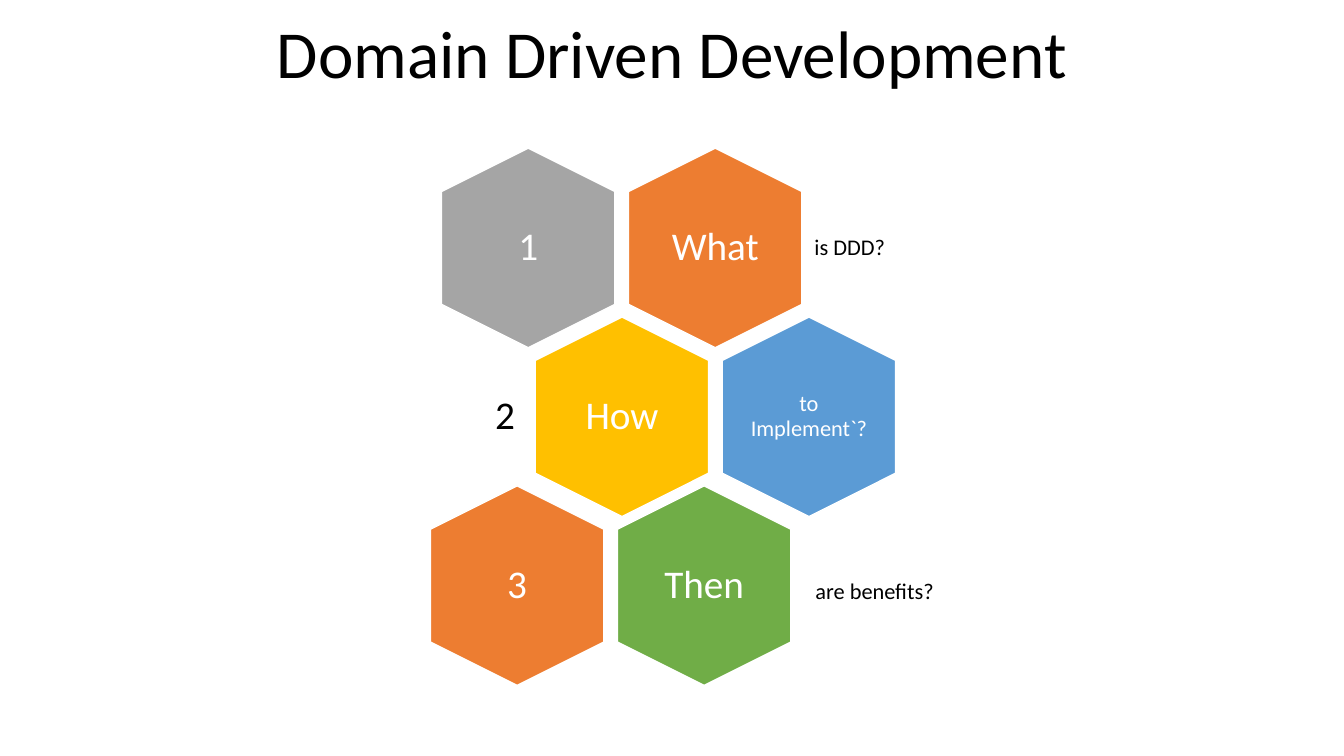
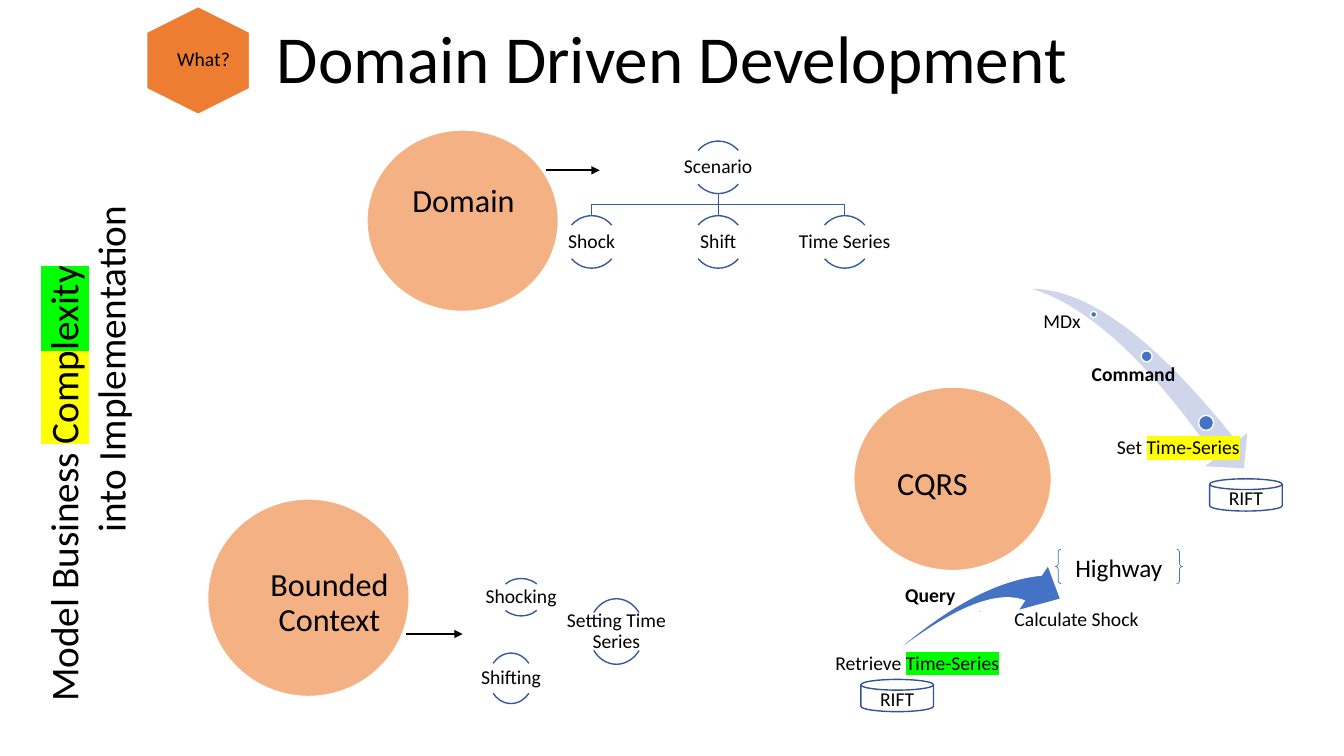
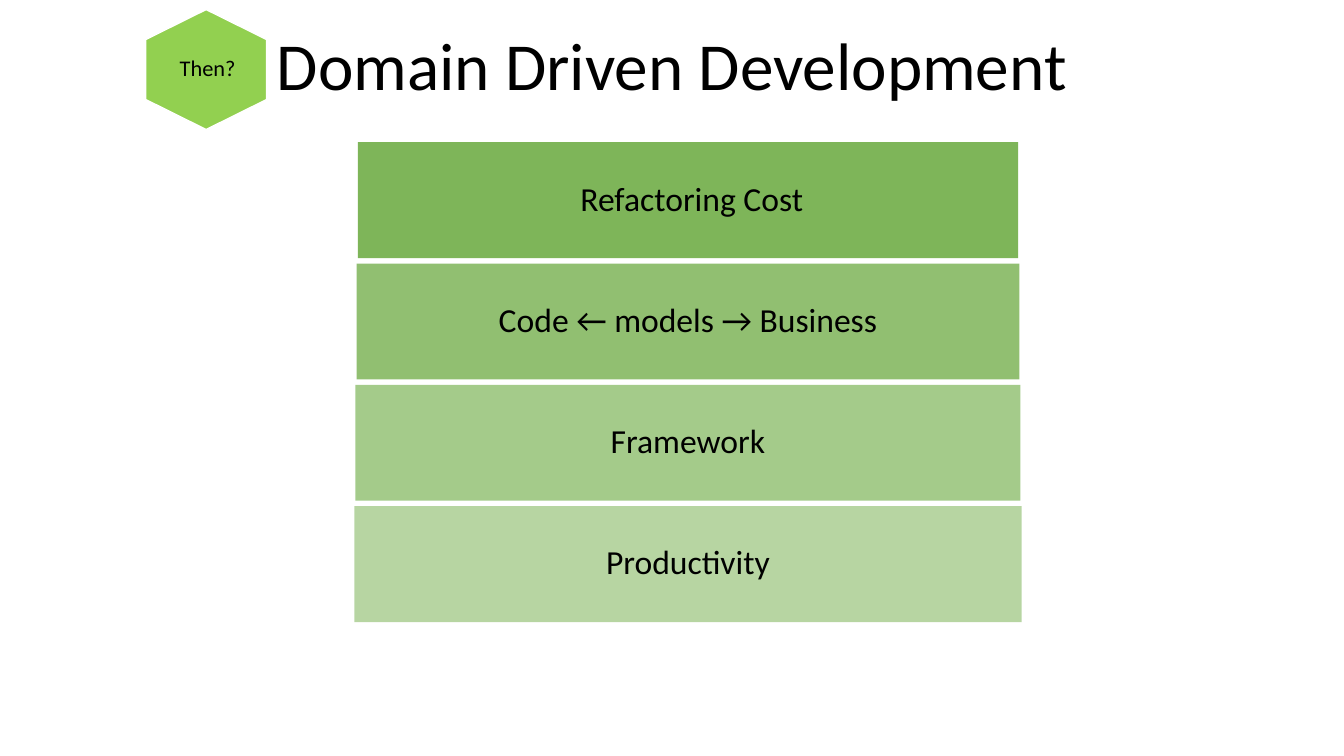
from typing import NamedTuple

from lxml.etree import SubElement
from pptx import Presentation
from pptx.dml.color import RGBColor
from pptx.enum.shapes import MSO_CONNECTOR, MSO_SHAPE as SHAPE
from pptx.enum.text import MSO_ANCHOR as ANCHOR, PP_ALIGN as ALIGN
from pptx.oxml import parse_xml
from pptx.oxml.ns import nsdecls, qn
from pptx.util import Emu, Inches, Pt

UNIT = Inches(0.1)  # one column or row of the slide grid
COLS, ROWS = 133.33, 75
FONT = "Calibri"
C = dict(black="000000", white="FFFFFF", orange="ED7D31", gray="A5A5A5", gold="FFC000",
         sky="5B9BD5", green="70AD47", lime="92D050", peach="F4B183", arc="365B9D",
         disk="325491", blue="4472C4", pale="CFD5EA", mist="B0BCDE",
         yellow="FFFF00", neon="00FF00")


def emu(v):
    return Emu(round(v * UNIT))


class Box(NamedTuple):
    x: float
    y: float
    w: float
    h: float

    def at(self, x, y, w, h):
        return Box(self.x + x, self.y + y, w, h)

    def centred(self, w, h, dx=0):
        return self.at((self.w - w) / 2 + dx, (self.h - h) / 2, w, h)

    def lengths(self):
        return [emu(v) for v in self]


def apply(target, values):
    for name, value in values.items():
        setattr(target, name, value)


def rgb(name):
    return RGBColor.from_string(C[name])


def highlight(r, color):
    mark = parse_xml(f'<a:highlight {nsdecls("a")}><a:srgbClr val="{C[color]}"/></a:highlight>')
    r.font.fill._xPr.find(qn("a:latin")).addprevious(mark)


def write(sp, paras, size, color="black", bold=None, align=ALIGN.CENTER,
          anchor=ANCHOR.MIDDLE, spacing=0.9, insets=None, indents=()):
    """A paragraph is a string or a list of (text, highlight colour) runs."""
    tf = sp.text_frame
    apply(tf, dict(word_wrap=True, vertical_anchor=anchor))
    if insets:
        sides = ("margin_left", "margin_top", "margin_right", "margin_bottom")
        apply(tf, dict(zip(sides, map(emu, insets))))
    for i, runs in enumerate(paras):
        p = tf.paragraphs[0] if i == 0 else tf.add_paragraph()
        apply(p, dict(alignment=align, line_spacing=spacing))
        if i < len(indents):
            p._p.get_or_add_pPr().set("marL", str(emu(indents[i])))
        for words, mark in [(runs, None)] if isinstance(runs, str) else runs:
            r = p.add_run()
            r.text = words
            apply(r.font, dict(size=Pt(size), name=FONT, bold=bold))
            r.font.color.rgb = rgb(color)
            if mark:
                highlight(r, mark)


def label(s, box, paras, size, inset=0, rotation=0, **fmt):
    sp = s.shapes.add_textbox(*box.lengths())
    sp.rotation = rotation
    fmt.setdefault("insets", [inset] * 4)
    write(sp, [paras] if isinstance(paras, str) else paras, size, **fmt)


def style(sp, fill=None, line=None, width=1, alpha=None):
    sp.shadow.inherit = False
    if fill:
        sp.fill.solid()
        sp.fill.fore_color.rgb = rgb(fill)
        if alpha:
            clr = sp.fill._xPr.find(qn("a:solidFill"))[0]
            SubElement(clr, qn("a:alpha")).set("val", str(round(alpha * 1000)))
    else:
        sp.fill.background()
    if line:
        sp.line.color.rgb = rgb(line)
        sp.line.width = Pt(width)
    else:
        sp.line.fill.background()


def shape(s, kind, box, adj=(), rotation=0, **look):
    sp = s.shapes.add_shape(kind, *box.lengths())
    sp.rotation = rotation
    for i, value in enumerate(adj):
        sp.adjustments[i] = value
    style(sp, **look)
    return sp


def line(s, x1, y1, x2, y2, color="black", width=1.25, arrow=True):
    cn = s.shapes.add_connector(MSO_CONNECTOR.STRAIGHT, *map(emu, (x1, y1, x2, y2)))
    cn.line.color.rgb = rgb(color)
    cn.line.width = Pt(width)
    if arrow:
        SubElement(cn.line._get_or_add_ln(), qn("a:tailEnd")).set("type", "triangle")
    SubElement(cn._element.spPr, qn("a:effectLst"))


def hexagon(s, box, fill):
    shape(s, SHAPE.HEXAGON, box, [0.25], 90, fill=fill, line="white")


def dot(s, box, fill):
    shape(s, SHAPE.OVAL, box, fill=fill, line="white")


def titled(prs, y):
    s = prs.slides.add_slide(prs.slide_layouts[6])
    label(s, Box(0, y, COLS, 6.9), "Domain Driven Development", 48,
          insets=(1, 0.5, 1, 0.5), anchor=ANCHOR.BOTTOM)
    return s


def badge(s, box, words, fill, size, text_w, text_h, dx):
    hexagon(s, box, fill)
    label(s, box.centred(text_w, text_h, dx), words, size, 1.2)


def honeycomb(s, box):
    w, h, col, row = 19.8, 17.2, 18.55, 16.75
    rows = [(1.1, [("1", "gray", 28), ("What", "orange", 28)]),
            (10.4, [("How", "gold", 28), ("to Implement`?", "sky", 16)]),
            (0, [("3", "orange", 28), ("Then", "green", 28)])]
    for i, (start, cells) in enumerate(rows):
        for j, (words, fill, size) in enumerate(cells):
            cell = box.at(start + j * col, i * row, w, h)
            hexagon(s, cell, fill)
            label(s, cell.centred(11.8, 13.6), words, size, color="white")
    label(s, box.at(38.7, 2.7, 22.1, 11.9), "is DDD?", 16, 0.7, align=ALIGN.LEFT)
    label(s, box.at(-10.4, 19.4, 21.3, 11.9), "2", 28, 1.2, align=ALIGN.RIGHT)
    label(s, box.at(38.8, 36.8, 26.6, 11.9), "are benefits?", 16, 0.7, align=ALIGN.LEFT)


def bubble(s, box, words, text_box):
    shape(s, SHAPE.OVAL, box, fill="peach", line="white")
    label(s, box.at(*text_box), words, 23)


def node(s, box, words):
    for angles in ((132, 192), (24, 84)):
        shape(s, SHAPE.ARC, box, angles, line="arc")
    label(s, box.centred(2 * box.w, 0.64 * box.h), words, 14, 0.1)


def tree(s, box, root, children):
    size = 5.2
    mid, bottom = box.x + box.w / 2, box.y + size
    child_y = box.y + box.h - size
    pitch = (box.w - size) / (len(children) - 1)
    for i, words in enumerate(children):
        x = box.x + size / 2 + i * pitch
        if abs(x - mid) < 0.01:
            line(s, mid, bottom, mid, child_y, "arc", 1, arrow=False)
        else:
            bend = (bottom + child_y) / 2
            pts = [(mid, bend), (x, bend), (x, child_y)]
            fb = s.shapes.build_freeform(emu(mid), emu(bottom))
            fb.add_line_segments([(emu(px), emu(py)) for px, py in pts], close=False)
            style(fb.convert_to_shape(), line="arc")
        node(s, Box(x - size / 2, child_y, size, size), words)
    node(s, Box(mid - size / 2, box.y, size, size), root)


def domain(s, box):
    bubble(s, box.at(0, 0, 19, 18), "Domain", (2.6, 3.1, 14, 8.1))
    line(s, box.x + 17.8, box.y + 4, box.x + 23.1, box.y + 4)
    tree(s, box.at(19.7, 1.1, 30.3, 12.6), "Scenario", ["Shock", "Shift", "Time Series"])


def bounded_context(s, box):
    bubble(s, box.at(0, 0, 20, 19.6), "Bounded Context", (6.1, 5, 12, 10.8))
    line(s, box.x + 19.7, box.y + 13.4, box.x + 25.3, box.y + 13.4)
    for words, spot in [("Shocking", (28.9, 7.9, 4.4, 3.7)),
                        ("Shifting", (27.9, 15.3, 4.4, 5)),
                        ("Setting Time Series", (37.8, 9.9, 5.5, 6.5))]:
        node(s, box.at(*spot), words)


def store(s, box):
    sp = shape(s, SHAPE.FLOWCHART_MAGNETIC_DISK, box, line="disk")
    write(sp, ["RIFT"], 14, spacing=1)


def command(s, box):
    shape(s, SHAPE.SWOOSH_ARROW, box.at(0, 3.2, 26.2, 10.6), [0.25, 0.25], 58.2, fill="pale")
    steps = [("MDx", (7.5, 2.4, 0.6), (2.5, 2.4, 5.2, 4), 0.3, None),
             ("Command", (12.5, 6.3, 1.1), (7, 7.7, 10.1, 2.4), 0.6, True),
             ([[("Set ", None), ("Time-Series", "yellow")]],
              (18.2, 12.7, 1.5), (9.3, 14.9, 13.7, 2.1), 0.8, None)]
    for words, (x, y, d), spot, left, bold in steps:
        dot(s, box.at(x, y, d, d), "blue")
        label(s, box.at(*spot), words, 14, insets=(left, 0, 0, 0), bold=bold,
              align=ALIGN.LEFT, anchor=ANCHOR.TOP)
    store(s, box.at(19.3, 19, 7.2, 3.2))


def query(s, box):
    shape(s, SHAPE.SWOOSH_ARROW, box.at(12.7, 0, 9.6, 18.7), [0.163, 0.314], 40,
          fill="blue", line="white")
    dot(s, box.at(17.9, 7.7, 0.3, 0.3), "mist")
    label(s, box.at(18.2, 5.6, 18.8, 4.4), "Calculate Shock", 14, 0.2, anchor=ANCHOR.BOTTOM)
    label(s, box.at(10.4, 5.2, 7, 2.3), "Query", 14, 0.2, bold=True, align=ALIGN.LEFT)
    label(s, box.at(0, 11.8, 23.6, 2.8), [[("Retrieve ", None), ("Time-Series", "neon")]],
          14, 0.2, anchor=ANCHOR.TOP)
    store(s, box.at(6.2, 14.6, 7.2, 3.2))
    sp = shape(s, SHAPE.DOUBLE_BRACE, box.at(25.5, 1.7, 12.6, 3.4), line="blue", width=0.5)
    write(sp, ["Highway"], 18, spacing=1)


def side_note(s, box):
    paras = [[("Model Business ", None), ("Comp", "yellow"), ("lexity", "neon")],
             "into Implementation"]
    label(s, box, paras, 28, rotation=270, insets=(1, 0.5, 1, 0.5), spacing=1,
          align=ALIGN.LEFT, anchor=ANCHOR.TOP, indents=(0, 16.8))


def benefits(s, box):
    words = [" Refactoring Cost", "Code ← models → Business", "Framework", "Productivity"]
    pitch, gap = box.h / len(words), 0.53
    for i, item in enumerate(words):
        bar = box.at(0, i * pitch, box.w, pitch).centred(box.w - 0.23 * (3 - i), pitch - gap)
        sp = shape(s, SHAPE.RECTANGLE, bar, fill="green", alpha=90 - 40 * i / 3)
        write(sp, [item], 24, insets=[0.7] * 4)


prs = Presentation()
prs.slide_width, prs.slide_height = emu(COLS), emu(ROWS)

s = titled(prs, 2.8)
honeycomb(s, Box(41.4, 16, 49, 50.7))

s = titled(prs, 3.3)
domain(s, Box(36.4, 12.9, 52.6, 18))
bounded_context(s, Box(20.6, 49.5, 46, 20.3))
bubble(s, Box(84.7, 38.4, 19.6, 18.2), "CQRS", (1.9, 4.7, 11.8, 10))
side_note(s, Box(-21, 35.8, 59.2, 10.4))
command(s, Box(100.7, 28.5, 26.5, 22.2))
query(s, Box(79.2, 52.8, 38.1, 18.7))
badge(s, Box(14.3, 0.9, 10.7, 10.2), "What?", "orange", 14, 8, 7.4, 0.55)

s = titled(prs, 4)
badge(s, Box(14.5, 0.9, 11.9, 12), "Then?", "lime", 16, 8.6, 5.7, 0.15)
benefits(s, Box(35.15, 13.85, 66.2, 48.13))

prs.save("out.pptx")
